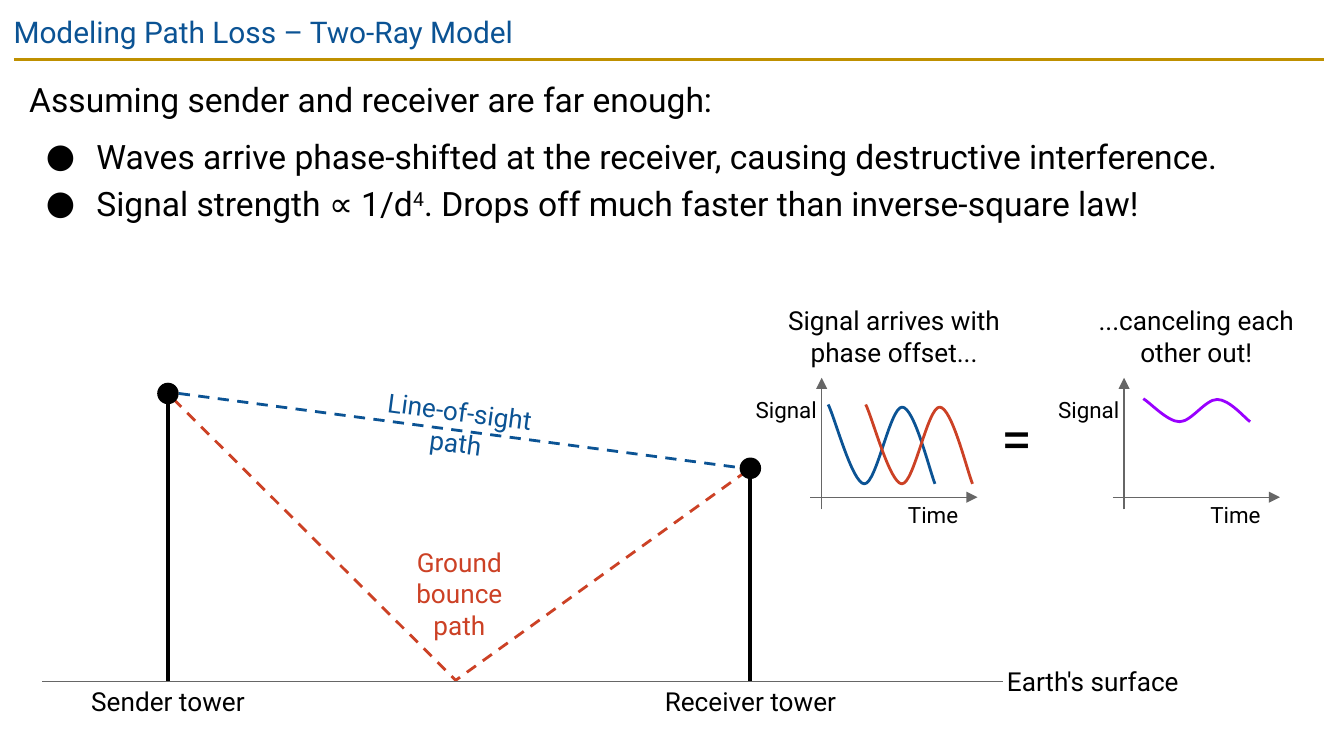
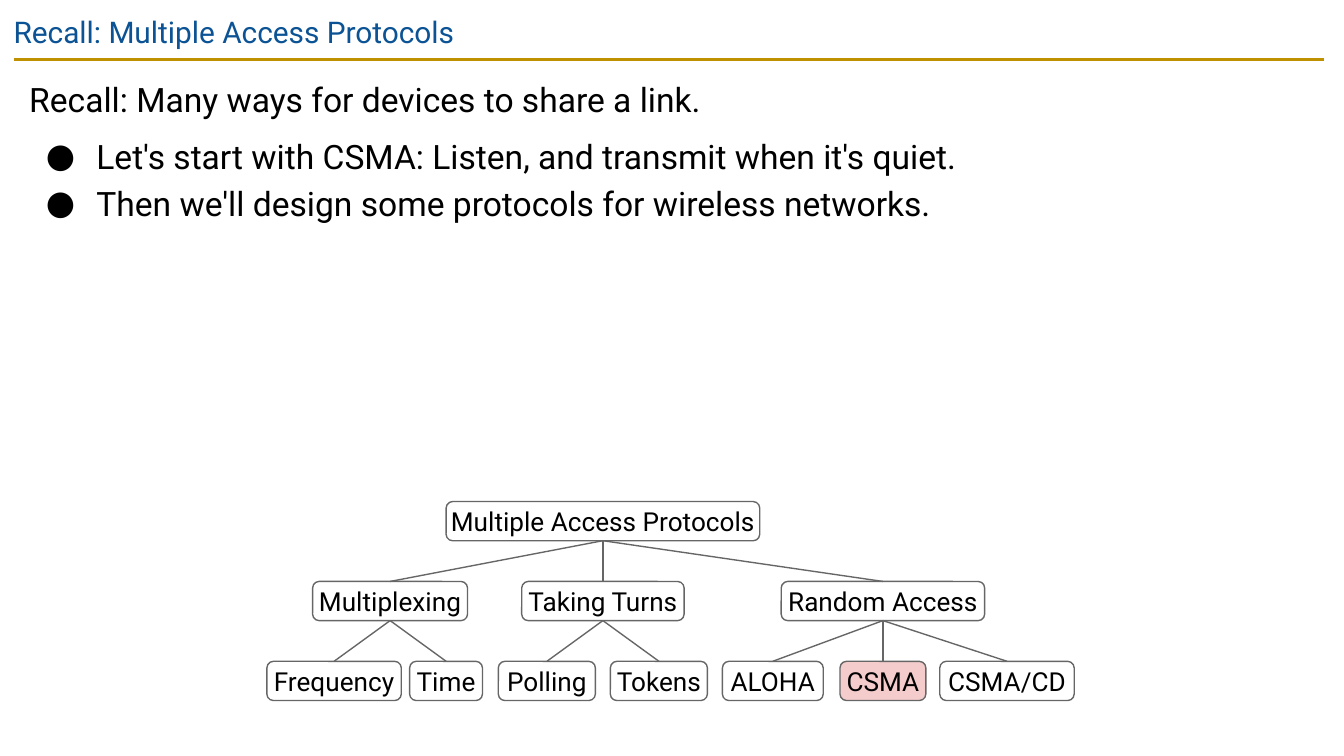
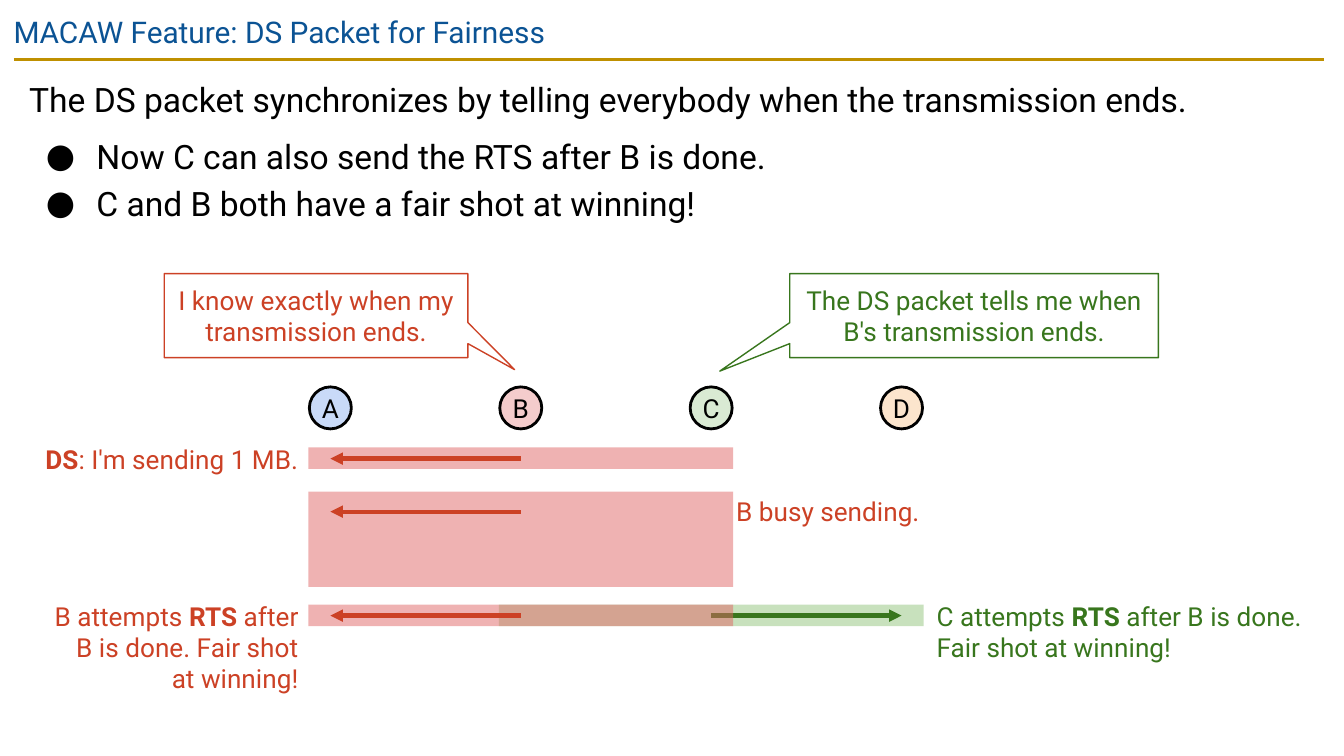
from lxml import etree
from pptx import Presentation
from pptx.dml.color import RGBColor
from pptx.enum.dml import MSO_LINE
from pptx.enum.shapes import MSO_CONNECTOR, MSO_SHAPE
from pptx.enum.text import MSO_ANCHOR, MSO_AUTO_SIZE, PP_ALIGN
from pptx.oxml.ns import qn
from pptx.util import Pt

LEFT, CENTER, RIGHT = PP_ALIGN.LEFT, PP_ALIGN.CENTER, PP_ALIGN.RIGHT
TOP, MIDDLE = MSO_ANCHOR.TOP, MSO_ANCHOR.MIDDLE
FIT_TEXT = MSO_AUTO_SIZE.SHAPE_TO_FIT_TEXT
STRAIGHT, DASH = MSO_CONNECTOR.STRAIGHT, MSO_LINE.DASH
OVAL, RECTANGLE = MSO_SHAPE.OVAL, MSO_SHAPE.RECTANGLE
ROUNDED, CALLOUT = MSO_SHAPE.ROUNDED_RECTANGLE, MSO_SHAPE.ROUNDED_RECTANGULAR_CALLOUT

FONT = "Roboto"
BLACK, WHITE, GRAY, GOLD = "000000", "FFFFFF", "666666", "BF9000"
BLUE, RED, GREEN, PURPLE = "0B5394", "CC4125", "38761D", "9900FF"
PINK, RED_BAND, GREEN_BAND = "F4CCCC", "E06666", "93C47D"

# Text between bars is emphasized: superscript in body text, bold in labels.
TWO_RAY = {
    "title": "Modeling Path Loss – Two-Ray Model",
    "body": ["Assuming sender and receiver are far enough:",
             "Waves arrive phase-shifted at the receiver, causing destructive interference.",
             "Signal strength ∝ 1/d|4|. Drops off much faster than inverse-square law!"],
    "body_height": 104.5,
    "ground": 365,
    "towers": [(90, 210.8), (402, 250.9)],
    "sight": [(95.8, 210.8), (396.7, 250.6)],
    "bounce": [(92.9, 213.8), (244.2, 364.5), (399.6, 252.7)],
    # left, top, width, height, text, colour, alignment, rotation
    "labels": [
        (537.3, 354.2, 98.6, 21.6, "Earth's surface", BLACK, LEFT, 0),
        (45.4, 365, 89.2, 21.6, "Sender tower", BLACK, CENTER, 0),
        (352.8, 365, 98.6, 21.6, "Receiver tower", BLACK, CENTER, 0),
        (189.8, 209.7, 113, 21.6, "Line-of-sight path", BLUE, CENTER, 7.5),
        (214.1, 290.5, 64, 55.4, "Ground bounce path", RED, CENTER, 0),
        (418.5, 161, 121, 38.2, "Signal arrives with phase offset...", BLACK, CENTER, 0),
        (583.3, 161, 115.2, 38.2, "...canceling each other out!", BLACK, CENTER, 0),
    ],
    "axis_origins": [(440.2, 266.4), (602.2, 266.4)],
    # left, top, height factor, colour
    "waves": [(443.7, 216.7, 1, BLUE), (463.8, 216.7, 1, RED), (612.5, 213.6, 0.29, PURPLE)],
}
# Start point, then three points for each curve segment
WAVE_CURVE = [(0, 0), (3.6, 7.2), (13, 42.5), (19.4, 42.5), (25.9, 42.5),
              (33.1, 1.4), (39.6, 1.4), (46.1, 1.4), (54.3, 35.3), (57.2, 42.5)]

PROTOCOLS = {
    "title": "Recall: Multiple Access Protocols",
    "body": ["Recall: Many ways for devices to share a link.",
             "Let's start with CSMA: Listen, and transmit when it's quiet.",
             "Then we'll design some protocols for wireless networks."],
    "body_height": 124,
    # text, parent, level, centre, width
    "tree": [
        ("Multiple Access Protocols", None, 0, 323, 168),
        ("Multiplexing", "Multiple Access Protocols", 1, 209, 83),
        ("Taking Turns", "Multiple Access Protocols", 1, 323, 87),
        ("Random Access", "Multiple Access Protocols", 1, 473, 109),
        ("Frequency", "Multiplexing", 2, 179, 72),
        ("Time", "Multiplexing", 2, 239, 39),
        ("Polling", "Taking Turns", 2, 293, 52),
        ("Tokens", "Taking Turns", 2, 353, 52),
        ("ALOHA", "Random Access", 2, 414, 54),
        ("CSMA", "Random Access", 2, 473, 46),
        ("CSMA/CD", "Random Access", 2, 539.5, 72),
    ],
    "highlight": "CSMA",
}
TREE_TOP, TREE_STEP, TREE_NODE_HEIGHT = 268.7, 42.8, 21

MACAW = {
    "title": "MACAW Feature: DS Packet for Fairness",
    "body": ["The DS packet synchronizes by telling everybody when the transmission ends.",
             "Now C can also send the RTS after B is done.",
             "C and B both have a fair shot at winning!"],
    "body_height": 111.6,
    "stations": {"A": "C9DAF8", "B": PINK, "C": "D9EAD3", "D": "FCE5CD"},
    # reach, top, height, fill, sender and target, arrow height, colour
    "bands": [
        ("AC", 263.4, 51, RED_BAND, "BA", 274.1, RED),
        ("BD", 324, 11.5, GREEN_BAND, "CD", 329.8, GREEN),
        ("AC", 324, 11.5, RED_BAND, "BA", 329.8, RED),
        ("AC", 239.7, 11.5, RED_BAND, "BA", 245.7, RED),
    ],
    # left, width, pointer, text, colour
    "callouts": [
        (88, 162.7, (0.654, 0.643), "I know exactly when my transmission ends.", RED),
        (423.1, 197.5, (-0.69, 0.661), "The DS packet tells me when B's transmission ends.", GREEN),
    ],
    "labels": [
        (18, 235.4, 144, 21.6, "|DS|: I'm sending 1 MB.", RED, RIGHT, 0),
        (392.2, 263.5, 107.3, 21.6, "B busy sending.", RED, LEFT, 0),
        (23.8, 319.3, 138.2, 55.4, "B attempts |RTS| after B is done. Fair shot at winning!", RED, RIGHT, 0),
        (499.6, 319.3, 206.6, 38.2, "C attempts |RTS| after B is done.\nFair shot at winning!", GREEN, LEFT, 0),
    ],
}
STATION_START, STATION_STEP, STATION_SIZE = 177, 102, 22.5
BAND_MARGIN = 11.8


def color(hex_string):
    return RGBColor.from_string(hex_string)


# Text
def write(paragraph, text, size, text_color, align=LEFT, superscript=False):
    paragraph.alignment = align
    for part_index, part in enumerate(text.split("|")):
        for line_index, line in enumerate(part.split("\n")):
            if line_index:
                paragraph.add_line_break()
            if not line:
                continue
            run = paragraph.add_run()
            run.text = line
            run.font.name = FONT
            run.font.size = Pt(size)
            run.font.color.rgb = color(text_color)
            if part_index % 2 and superscript:
                run._r.get_or_add_rPr().set("baseline", "30000")
            elif part_index % 2:
                run.font.bold = True


def set_frame(shape, inset, anchor=TOP):
    frame = shape.text_frame
    frame.word_wrap = True
    frame.vertical_anchor = anchor
    frame.margin_left = frame.margin_right = Pt(inset)
    frame.margin_top = frame.margin_bottom = Pt(inset)
    return frame


def add_text_box(slide, left, top, width, height, inset, anchor=TOP):
    box = slide.shapes.add_textbox(Pt(left), Pt(top), Pt(width), Pt(height))
    return box, set_frame(box, inset, anchor)


def add_label(slide, left, top, width, height, text, text_color, align, rotation=0, size=14):
    box, frame = add_text_box(slide, left, top, width, height, 2.16)
    frame.auto_size = FIT_TEXT
    box.rotation = rotation
    write(frame.paragraphs[0], text, size, text_color, align)


# Lines and shapes
def style_line(line, line_color, width, dash=None):
    line.color.rgb = color(line_color)
    line.width = Pt(width)
    if dash:
        line.dash_style = dash


def add_line(slide, start, end, line_color, width, dash=None, arrow=False):
    connector = slide.shapes.add_connector(STRAIGHT, *(Pt(value) for value in (*start, *end)))
    style_line(connector.line, line_color, width, dash)
    properties = connector._element.spPr
    if arrow:
        etree.SubElement(properties.find(qn("a:ln")), qn("a:tailEnd"), type="triangle")
    etree.SubElement(properties, qn("a:effectLst"))
    return connector


def add_outline(slide, points, line_color, dash=None):
    corners = [(Pt(x), Pt(y)) for x, y in points]
    builder = slide.shapes.build_freeform(*corners[0])
    builder.add_line_segments(corners[1:], close=False)
    outline = builder.convert_to_shape()
    outline.shadow.inherit = False
    outline.fill.background()
    style_line(outline.line, line_color, 1.5, dash)
    return outline


def bend(outline):
    """Turn each three straight segments into one cubic curve."""
    segments = list(outline._element.iter(qn("a:lnTo")))
    parent = segments[0].getparent()
    for first in range(0, len(segments), 3):
        curve = etree.SubElement(parent, qn("a:cubicBezTo"))
        for segment in segments[first:first + 3]:
            curve.append(segment[0])
            parent.remove(segment)


def add_shape(slide, kind, left, top, width, height, fill=None, line=None, line_width=0.75,
              text="", text_color=BLACK, inset=0, opacity=None):
    shape = slide.shapes.add_shape(kind, Pt(left), Pt(top), Pt(width), Pt(height))
    shape.shadow.inherit = False
    if fill:
        shape.fill.solid()
        shape.fill.fore_color.rgb = color(fill)
    else:
        shape.fill.background()
    if opacity:
        fill_color = shape._element.spPr.find(qn("a:solidFill"))[0]
        etree.SubElement(fill_color, qn("a:alpha"), val=str(opacity * 1000))
    if line:
        style_line(shape.line, line, line_width)
    else:
        shape.line.fill.background()
    if text:
        write(set_frame(shape, inset, MIDDLE).paragraphs[0], text, 14, text_color, CENTER)
    return shape


def add_bullet(paragraph):
    properties = paragraph._p.get_or_add_pPr()
    properties.set("marL", str(Pt(36)))
    properties.set("indent", str(-Pt(27)))
    bullet_color = etree.SubElement(properties, qn("a:buClr"))
    etree.SubElement(bullet_color, qn("a:srgbClr"), val=BLACK)
    etree.SubElement(properties, qn("a:buFont"), typeface=FONT)
    etree.SubElement(properties, qn("a:buChar"), char="●")


# Title, rule and body shared by all slides
def start_slide(presentation, content):
    slide = presentation.slides.add_slide(presentation.slide_layouts[6])
    add_line(slide, (7.5, 31.8), (709.2, 31.8), GOLD, 1.5)
    _, title = add_text_box(slide, 0.2, 0, 720, 31, 7.2)
    write(title.paragraphs[0], content["title"], 16, BLUE)
    _, body = add_text_box(slide, 8.6, 31.7, 701.3, content["body_height"], 7.2)
    for index, text in enumerate(content["body"]):
        paragraph = body.add_paragraph() if index else body.paragraphs[0]
        if index:
            add_bullet(paragraph)
        paragraph.line_spacing = 1.15
        paragraph.space_before = Pt(6 if index == 1 else 0)
        write(paragraph, text, 18, BLACK, superscript=True)
    return slide


def build_two_ray(presentation):
    slide = start_slide(presentation, TWO_RAY)
    ground = TWO_RAY["ground"]
    # Signal paths, towers and ground
    add_line(slide, *TWO_RAY["sight"], BLUE, 1.5, DASH)
    add_outline(slide, TWO_RAY["bounce"], RED, DASH)
    for x, y in TWO_RAY["towers"]:
        add_line(slide, (x, y + 2.8), (x, ground), BLACK, 2.25)
        add_shape(slide, OVAL, x - 5.75, y - 5.75, 11.5, 11.5, BLACK)
    add_line(slide, (22.7, ground), (537.3, ground), GRAY, 0.75)
    for label in TWO_RAY["labels"]:
        add_label(slide, *label)
    # Signal plots
    for x, y in TWO_RAY["axis_origins"]:
        add_line(slide, (x, y + 6.5), (x, y - 64), GRAY, 0.75, arrow=True)
        add_line(slide, (x - 6, y), (x + 83.5, y), GRAY, 0.75, arrow=True)
        add_label(slide, x + 35, y, 40.3, 18.7, "Time", BLACK, RIGHT, size=12)
        add_label(slide, x - 37.9, y - 56.2, 37.5, 18.7, "Signal", BLACK, RIGHT, size=12)
    _, equals = add_text_box(slide, 535, 224, 19.4, 20.2, 0, MIDDLE)
    write(equals.paragraphs[0], "=", 30, BLACK, CENTER)
    for left, top, factor, wave_color in TWO_RAY["waves"]:
        wave = [(left + x, top + y * factor) for x, y in WAVE_CURVE]
        bend(add_outline(slide, wave, wave_color))


def build_protocols(presentation):
    slide = start_slide(presentation, PROTOCOLS)
    nodes = {}
    for text, parent, level, center, width in PROTOCOLS["tree"]:
        top = TREE_TOP + level * TREE_STEP
        fill = PINK if text == PROTOCOLS["highlight"] else None
        nodes[text] = add_shape(slide, ROUNDED, center - width / 2, top, width,
                                TREE_NODE_HEIGHT, fill, GRAY, text=text)
        if parent:
            branch = add_line(slide, (0, 0), (center, top), GRAY, 0.75)
            branch.begin_connect(nodes[parent], 2)
            branch.end_connect(nodes[text], 0)


def build_macaw(presentation):
    slide = start_slide(presentation, MACAW)
    # Stations
    centers = {}
    for index, (name, fill) in enumerate(MACAW["stations"].items()):
        centers[name] = STATION_START + index * STATION_STEP
        add_shape(slide, OVAL, centers[name] - STATION_SIZE / 2, 207.3, STATION_SIZE,
                  STATION_SIZE, fill, BLACK, 1.5, name)
    # Transmission bands with arrows
    for (first, last), top, height, fill, (sender, target), y, arrow_color in MACAW["bands"]:
        left = centers[first] - BAND_MARGIN
        width = centers[last] + BAND_MARGIN - left
        add_shape(slide, RECTANGLE, left, top, width, height, fill, opacity=50)
        add_line(slide, (centers[sender], y), (centers[target], y), arrow_color, 2.25, arrow=True)
    # Callouts and labels
    for left, width, pointer, text, text_color in MACAW["callouts"]:
        callout = add_shape(slide, CALLOUT, left, 146.6, width, 45, WHITE, text_color,
                            text=text, text_color=text_color, inset=7.2)
        for index, value in enumerate((*pointer, 0)):
            callout.adjustments[index] = value
    for label in MACAW["labels"]:
        add_label(slide, *label)


def main():
    presentation = Presentation()
    presentation.slide_width, presentation.slide_height = Pt(720), Pt(405)
    build_two_ray(presentation)
    build_protocols(presentation)
    build_macaw(presentation)
    presentation.save("out.pptx")


if __name__ == "__main__":
    main()
